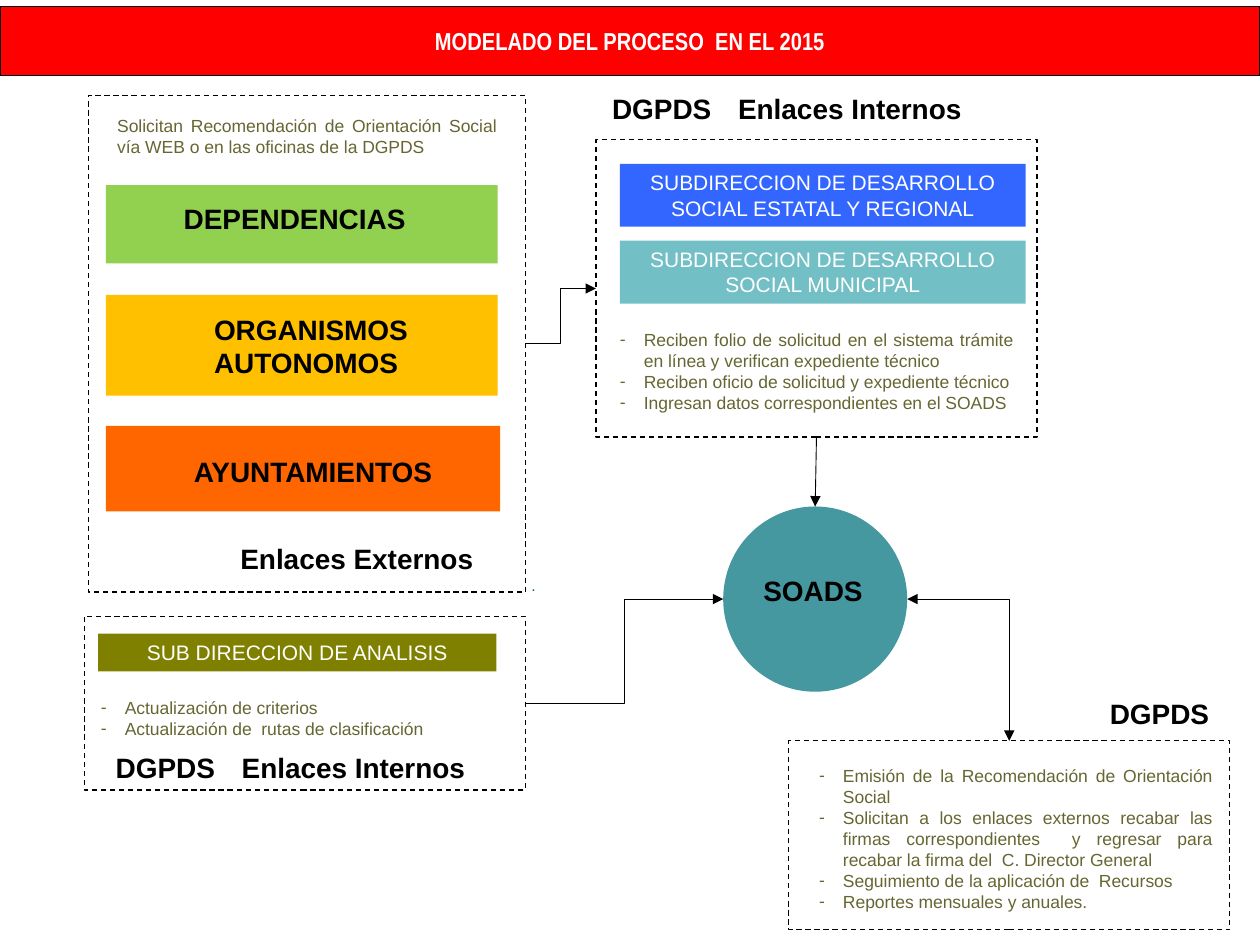
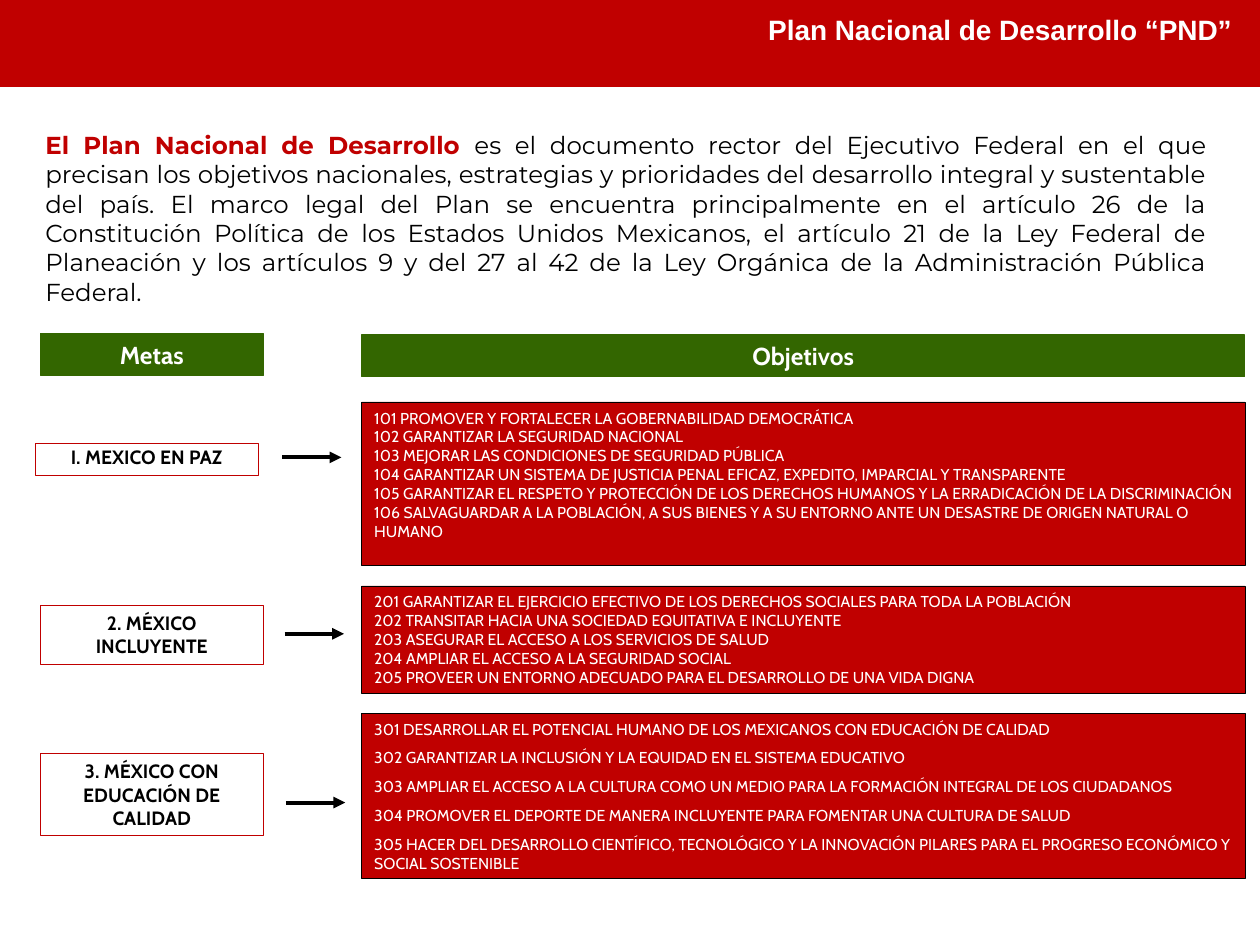
from dataclasses import dataclass, replace

from lxml.etree import SubElement
from pptx import Presentation
from pptx.dml.color import RGBColor
from pptx.enum.dml import MSO_LINE
from pptx.enum.shapes import MSO_CONNECTOR, MSO_SHAPE
from pptx.enum.text import MSO_ANCHOR, MSO_AUTO_SIZE, PP_ALIGN
from pptx.oxml.ns import qn
from pptx.util import Inches, Pt

COLS, ROWS = 100, 75
WIDTH, HEIGHT = Inches(10), Inches(7.5)
COL, ROW = WIDTH / COLS, HEIGHT / ROWS
COMPARISON = 4


@dataclass(frozen=True)
class Style:
    """Look of one kind of text."""
    font: str
    size: float
    color: str
    bold: bool = False
    align: PP_ALIGN = PP_ALIGN.LEFT


@dataclass(frozen=True)
class Theme:
    """Colours and type sizes of the deck."""
    black: str = "000000"
    white: str = "FFFFFF"
    bright_red: str = "FF0000"
    red: str = "C00000"
    green: str = "336600"
    teal: str = "4597A0"
    title: Style = Style("Arial Narrow", 14, "FFFFFF", True, PP_ALIGN.CENTER)
    plan_title: Style = Style("Arial", 16, "FFFFFF", True, PP_ALIGN.RIGHT)
    label: Style = Style("Arial", 16, "000000", True)
    unit: Style = Style("Arial", 12, "FFFFFF", False, PP_ALIGN.CENTER)
    note: Style = Style("Arial", 10, "666633", False, PP_ALIGN.JUSTIFY)
    dot: Style = Style("Arial", 9, "006666")
    intro: Style = Style("Montserrat", 14, "000000", False, PP_ALIGN.JUSTIFY)
    header: Style = Style("Cabin", 14, "FFFFFF", True, PP_ALIGN.CENTER)
    goal: Style = Style("Cabin", 11, "000000", True, PP_ALIGN.CENTER)
    objective: Style = Style("Cabin", 9, "FFFFFF")


T = Theme()


@dataclass(frozen=True)
class Box:
    """Rectangle in grid columns and rows."""
    x: float
    y: float
    w: float
    h: float

    def at(self, dx, dy, w, h):
        """Return a box offset from this one's corner."""
        return Box(self.x + dx, self.y + dy, w, h)

    def side(self, name):
        """Return the middle of a side."""
        fx, fy = {"left": (0, .5), "right": (1, .5), "top": (.5, 0), "bottom": (.5, 1)}[name]
        return self.x + self.w * fx, self.y + self.h * fy

    def emu(self):
        """Return left, top, width and height in slide units."""
        return round(self.x * COL), round(self.y * ROW), round(self.w * COL), round(self.h * ROW)


def rgb(color):
    """Turn a hex string into a colour."""
    return RGBColor.from_string(color)


def write(s, paras, style, bullet=None, gap=0, spacing=1.0, tab=None, anchor=MSO_ANCHOR.TOP):
    """Fill a shape with paragraphs, each a string or a list of styled runs."""
    tf = s.text_frame
    tf.word_wrap, tf.auto_size, tf.vertical_anchor = True, MSO_AUTO_SIZE.NONE, anchor
    for i, para in enumerate(paras):
        p = tf.paragraphs[0] if i == 0 else tf.add_paragraph()
        pPr = p._p.get_or_add_pPr()
        indent = Inches(.19) if bullet else 0
        pPr.set("marL", str(indent))
        pPr.set("indent", str(-indent))
        if bullet:
            SubElement(pPr, qn("a:buChar"), char=bullet)
        else:
            SubElement(pPr, qn("a:buNone"))
        if tab:
            SubElement(SubElement(pPr, qn("a:tabLst")), qn("a:tab"), pos=str(round(tab * COL)), algn="l")
        p.alignment, p.line_spacing = style.align, spacing
        p.space_before = Pt(gap if i else 0)
        for text, look in ([(para, style)] if isinstance(para, str) else para):
            r = p.add_run()
            r.text = text
            r.font.name, r.font.size, r.font.bold = look.font, Pt(look.size), look.bold
            r.font.color.rgb = rgb(look.color)


def paint(s, fill=None, line=None, width=.75):
    """Set the fill and outline of a shape."""
    if fill:
        s.fill.solid()
        s.fill.fore_color.rgb = rgb(fill)
    else:
        s.fill.background()
    if line:
        s.line.color.rgb, s.line.width = rgb(line), Pt(width)
    else:
        s.line.fill.background()


def shape(slide, box, fill=None, line=None, width=.75, kind=MSO_SHAPE.RECTANGLE):
    """Add a flat preset shape."""
    s = slide.shapes.add_shape(kind, *box.emu())
    s.shadow.inherit = False
    paint(s, fill, line, width)
    return s


def frame(slide, box):
    """Add a dashed frame."""
    shape(slide, box, line=T.black).line.dash_style = MSO_LINE.DASH


def text(slide, box, content, style, **options):
    """Add a one-paragraph text box."""
    write(slide.shapes.add_textbox(*box.emu()), [content], style, **options)


def body(slide, idx, box, paras, style, **options):
    """Move and fill one body placeholder."""
    s = slide.placeholders[idx]
    s.left, s.top, s.width, s.height = box.emu()
    write(s, paras, style, **options)
    return s


def title_band(slide, box, content, style, fill, line=None, **options):
    """Turn the title placeholder into a coloured band."""
    s = slide.shapes.title
    s.left, s.top, s.width, s.height = box.emu()
    paint(s, fill, line)
    write(s, [content], style, **options)
    return s


def arrow(slide, start, end, width=.5, kind=MSO_CONNECTOR.STRAIGHT, ends=("tailEnd",)):
    """Draw a connector with arrowheads between two grid points."""
    points = [round(v * unit) for v, unit in zip(start + end, (COL, ROW) * 2)]
    s = slide.shapes.add_connector(kind, *points)
    s.line.color.rgb, s.line.width = rgb(T.black), Pt(width)
    for name in ends:
        SubElement(s.line._get_or_add_ln(), qn("a:" + name), type="triangle")
    SubElement(s._element.spPr, qn("a:effectLst"))
    return s


def internal_label(slide, box):
    """Label a frame as internal links."""
    text(slide, box, "DGPDS\tEnlaces Internos", T.label, tab=11.6)


def external_links(slide, box):
    """Place the applicants and their request."""
    frame(slide, box)
    body(slide, 1, box.at(1.3, 1, 32.1, 6),
         ["Solicitan Recomendación de Orientación Social vía WEB o en las oficinas de la DGPDS"], T.note)
    applicants = [
        ("DEPENDENCIAS", "92D050", 7.1, 31.1, 6.2, 5.2, .8),
        ("ORGANISMOS AUTONOMOS", "FFC000", 15.8, 31.1, 8, 7.6, .9),
        ("AYUNTAMIENTOS", "FF6600", 26.2, 31.3, 6.8, 6, 1.8),
    ]
    for name, color, y, w, h, dx, dy in applicants:
        bar = box.at(1.4, y, w, h)
        shape(slide, bar, color)
        text(slide, bar.at(dx, dy, 22.8, 3.7), name, T.label)
    text(slide, box.at(11.1, 34.9, 22.4, 3.7), "Enlaces Externos", T.label)
    text(slide, box.at(34.2, 37.6, 16.3, 4), ".", T.dot)


def internal_links(slide, box):
    """Place the two internal units and their tasks."""
    frame(slide, box)
    internal_label(slide, box.at(.3, -4.3, 34.7, 6.4))
    units = [("SUBDIRECCION DE DESARROLLO SOCIAL ESTATAL Y REGIONAL", "3366FF"),
             ("SUBDIRECCION DE DESARROLLO SOCIAL MUNICIPAL", "72BFC5")]
    for i, (name, color) in enumerate(units):
        write(shape(slide, box.at(1.9, 1.9 + 6.1 * i, 32.2, 5), color), [name], T.unit)
    body(slide, 2, box.at(.9, 14.5, 33.2, 9.4),
         ["Reciben folio de solicitud en el sistema trámite en línea y verifican expediente técnico",
          "Reciben oficio de solicitud y expediente técnico",
          "Ingresan datos correspondientes en el SOADS"], T.note, bullet="-")


def analysis_unit(slide, box):
    """Place the analysis unit and its tasks."""
    frame(slide, box)
    write(shape(slide, box.at(1.1, 1.4, 31.6, 3), "808000"), ["SUB DIRECCION DE ANALISIS"], T.unit)
    body(slide, 3, box.at(.3, 5.9, 33.2, 6),
         ["Actualización de criterios", "Actualización de  rutas de clasificación"], T.note, bullet="-")
    internal_label(slide, box.at(1.5, 10.2, 34.7, 6.4))


def issuing_unit(slide, box):
    """Place the unit that issues the recommendation."""
    frame(slide, box)
    text(slide, box.at(24.5, -4, 10.9, 3.7), "DGPDS", T.label)
    body(slide, 4, box.at(1.4, 1.4, 33.2, 12.7),
         ["Emisión de la Recomendación de Orientación Social",
          "Solicitan a los enlaces externos recabar las firmas correspondientes  y regresar para "
          "recabar la firma del  C. Director General",
          "Seguimiento de la aplicación de  Recursos",
          "Reportes mensuales y anuales."], T.note, bullet="-")


def process_slide(prs):
    """Build the process model slide."""
    slide = prs.slides.add_slide(prs.slide_layouts[COMPARISON])
    title_band(slide, Box(0, .5, COLS, 5.5), "MODELADO DEL PROCESO  EN EL 2015", T.title,
               T.bright_red, T.black, anchor=MSO_ANCHOR.MIDDLE)
    external, internal = Box(7, 7.6, 34.7, 39.4), Box(47.3, 11.1, 35, 23.6)
    analysis, issuing = Box(6.7, 48.9, 35, 13.8), Box(62.6, 58.8, 35, 15)
    hub = Box(57.4, 40.2, 14.6, 14.7)
    shape(slide, hub, T.teal, kind=MSO_SHAPE.OVAL)
    text(slide, hub.at(2.2, 4.8, 11.7, 3.7), "SOADS", T.label)
    external_links(slide, external)
    internal_links(slide, internal)
    analysis_unit(slide, analysis)
    issuing_unit(slide, issuing)
    elbow = MSO_CONNECTOR.ELBOW
    arrow(slide, external.side("right"), internal.side("left"), kind=elbow)
    arrow(slide, internal.side("bottom"), hub.side("top"))
    arrow(slide, analysis.side("right"), hub.side("left"), kind=elbow)
    corner = arrow(slide, hub.side("right"), issuing.side("top"), kind=elbow, ends=("headEnd", "tailEnd"))
    corner._element.spPr.find(qn("a:prstGeom")).set("prst", "bentConnector2")


def goal_row(slide, idx, box, goal, objectives, goal_box, arrow_at, gap=0, spacing=1.0):
    """Place a goal, its arrow and its objectives."""
    s = body(slide, idx, box, objectives, T.objective, gap=gap)
    paint(s, T.red, T.black, .25)
    write(shape(slide, box.at(*goal_box), T.white, T.red, .25), [goal], T.goal, spacing=spacing)
    x, y = box.x + arrow_at[0], box.y + arrow_at[1]
    arrow(slide, (x, y), (x + 4.7, y), 2.25)


def plan_slide(prs):
    """Build the national plan slide."""
    slide = prs.slides.add_slide(prs.slide_layouts[COMPARISON])
    band = title_band(slide, Box(0, 0, COLS, 6.9), "Plan Nacional de Desarrollo “PND”",
                      T.plan_title, T.red)
    band.text_frame.margin_top, band.text_frame.margin_right = round(ROW), round(2.2 * COL)
    lead = replace(T.intro, color=T.red, bold=True)
    body(slide, 1, Box(2.6, 9.8, 94.2, 12.7), [[
        ("El Plan Nacional de Desarrollo ", lead),
        ("es el documento rector del Ejecutivo Federal en el que precisan los objetivos nacionales, "
         "estrategias y prioridades del desarrollo integral y sustentable del país. El marco legal del "
         "Plan se encuentra principalmente en el artículo 26 de la Constitución Política de los Estados "
         "Unidos Mexicanos, el artículo 21 de la Ley Federal de Planeación y los artículos 9 y del 27 al "
         "42 de la Ley Orgánica de la Administración Pública Federal.", T.intro)]], T.intro)
    for name, box in (("Metas", Box(3.2, 26.5, 17.7, 3.3)), ("Objetivos", Box(28.7, 26.6, 70.1, 3.3))):
        write(shape(slide, box, T.green, T.green), [name], T.header)
    goal_row(slide, 2, Box(28.7, 31.9, 70.1, 13), "I. MEXICO EN PAZ", [
        "101 PROMOVER Y FORTALECER LA GOBERNABILIDAD DEMOCRÁTICA",
        "102 GARANTIZAR LA SEGURIDAD NACIONAL",
        "103 MEJORAR LAS CONDICIONES DE SEGURIDAD PÚBLICA",
        "104 GARANTIZAR UN SISTEMA DE JUSTICIA PENAL EFICAZ, EXPEDITO, IMPARCIAL Y TRANSPARENTE",
        "105 GARANTIZAR EL RESPETO Y PROTECCIÓN DE LOS DERECHOS HUMANOS Y LA ERRADICACIÓN DE LA "
        "DISCRIMINACIÓN",
        "106 SALVAGUARDAR A LA POBLACIÓN, A SUS BIENES Y A SU ENTORNO ANTE UN DESASTRE DE ORIGEN "
        "NATURAL O HUMANO",
    ], (-25.9, 3.3, 17.7, 2.5), (-6.3, 4.4), spacing=.8)
    goal_row(slide, 3, Box(28.7, 46.5, 70.1, 8.5), "2. MÉXICO INCLUYENTE", [
        "201 GARANTIZAR EL EJERCICIO EFECTIVO DE LOS DERECHOS SOCIALES PARA TODA LA POBLACIÓN",
        "202 TRANSITAR HACIA UNA SOCIEDAD EQUITATIVA E INCLUYENTE",
        "203 ASEGURAR EL ACCESO A LOS SERVICIOS DE SALUD",
        "204 AMPLIAR EL ACCESO A LA SEGURIDAD SOCIAL",
        "205 PROVEER UN ENTORNO ADECUADO PARA EL DESARROLLO DE UNA VIDA DIGNA",
    ], (-25.5, 1.5, 17.7, 4.7), (-6.1, 3.8))
    goal_row(slide, 4, Box(28.7, 56.6, 70.1, 13.1), "3. MÉXICO CON EDUCACIÓN DE CALIDAD", [
        "301 DESARROLLAR EL POTENCIAL HUMANO DE LOS MEXICANOS CON EDUCACIÓN DE CALIDAD",
        "302 GARANTIZAR LA INCLUSIÓN Y LA EQUIDAD EN EL SISTEMA EDUCATIVO",
        "303 AMPLIAR EL ACCESO A LA CULTURA COMO UN MEDIO PARA LA FORMACIÓN INTEGRAL DE LOS CIUDADANOS",
        "304 PROMOVER EL DEPORTE DE MANERA INCLUYENTE PARA FOMENTAR UNA CULTURA DE SALUD",
        "305 HACER DEL DESARROLLO CIENTÍFICO, TECNOLÓGICO Y LA INNOVACIÓN PILARES PARA EL PROGRESO "
        "ECONÓMICO Y SOCIAL SOSTENIBLE",
    ], (-25.5, 3.2, 17.7, 6.5), (-6, 7.1), gap=5.6)


def main():
    """Build and save the deck."""
    prs = Presentation()
    prs.slide_width, prs.slide_height = WIDTH, HEIGHT
    process_slide(prs)
    plan_slide(prs)
    prs.save("out.pptx")


if __name__ == "__main__":
    main()
